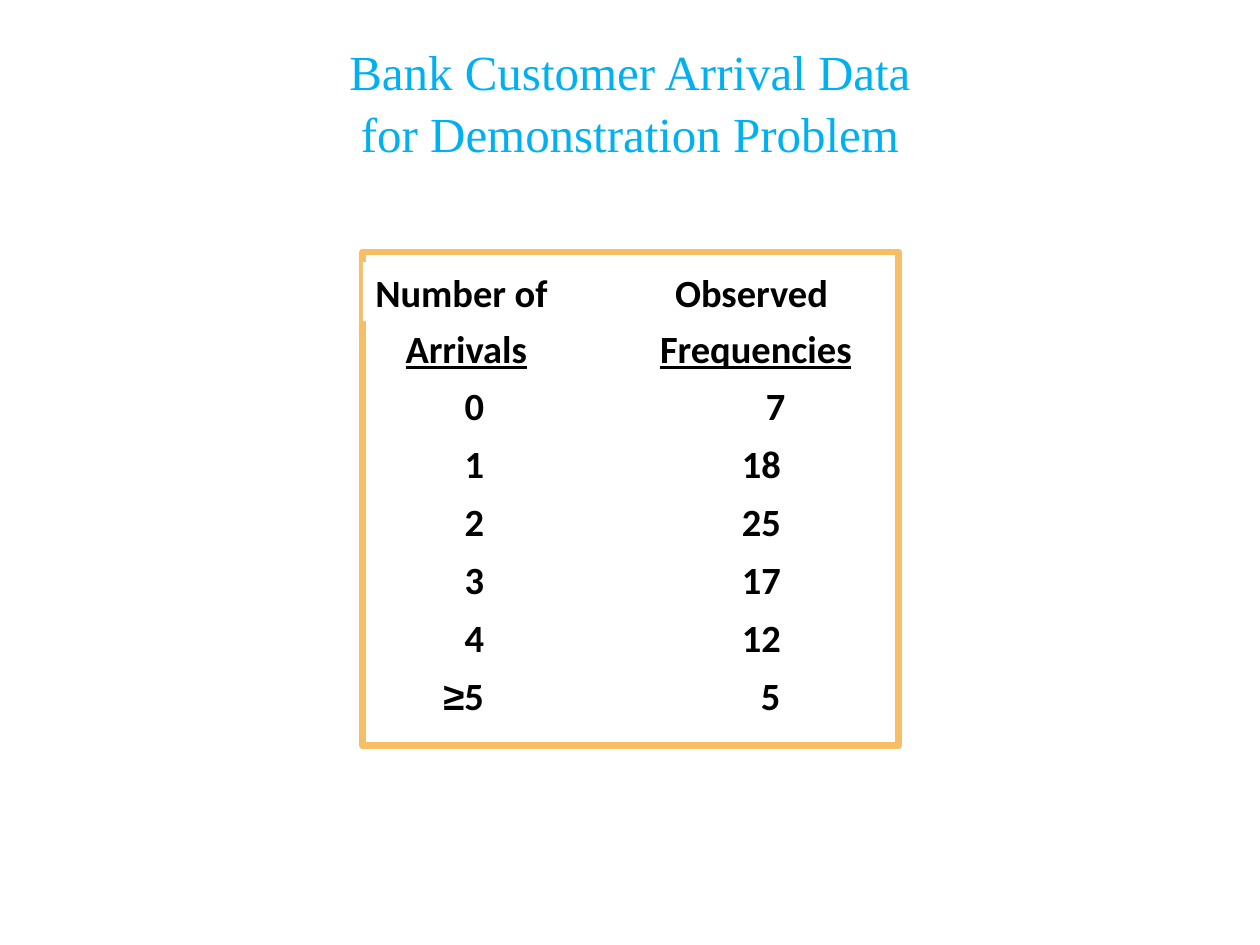
import pptx
import pptx.util
import pptx.dml.color
import pptx.enum.shapes
import pptx.enum.text

HUES = {"paper": "FFFFFF", "ink": "000000", "frame": "F6BF66", "title": "00B0F0"}
COLS, ROWS = 100, 75
ROW = 4.6
HIGH = 4.7


class Deck:
    def __init__(self):
        self.show = pptx.Presentation()
        self.show.slide_width = pptx.util.Inches(10)
        self.show.slide_height = pptx.util.Inches(7.5)
        self.slide = self.show.slides.add_slide(self.show.slide_layouts[6])
        self.panel = self.slide.shapes.add_group_shape().shapes

    def place(self, left, top, width, height):
        col = self.show.slide_width / COLS
        row = self.show.slide_height / ROWS
        return [round(n) for n in (left * col, top * row, width * col, height * row)]

    def hue(self, name):
        return pptx.dml.color.RGBColor.from_string(HUES[name])

    def font(self, font, face, size, hue, bold=False):
        font.name = face
        font.size = pptx.util.Pt(size)
        font.bold = bold
        font.color.rgb = self.hue(hue)

    def title(self, text, *area):
        frame = self.slide.shapes.add_textbox(*self.place(*area)).text_frame
        frame.word_wrap = True
        frame.vertical_anchor = pptx.enum.text.MSO_ANCHOR.MIDDLE
        para = frame.paragraphs[0]
        para.text = text
        para.alignment = pptx.enum.text.PP_ALIGN.CENTER
        para.line_spacing = 1.05
        self.font(para.font, "Times New Roman", 28, "title")

    def box(self, *area):
        shape = self.panel.add_shape(
            pptx.enum.shapes.MSO_SHAPE.RECTANGLE, *self.place(*area))
        shape.shadow.inherit = False
        shape.fill.solid()
        shape.fill.fore_color.rgb = self.hue("paper")
        shape.line.fill.background()
        return shape

    def border(self, *area):
        line = self.box(*area).line
        line.color.rgb = self.hue("frame")
        line.width = pptx.util.Pt(4)

    def label(self, text, left, top, width, under=False):
        frame = self.box(left, top, width, HIGH).text_frame
        frame.word_wrap = False
        frame.auto_size = pptx.enum.text.MSO_AUTO_SIZE.SHAPE_TO_FIT_TEXT
        para = frame.paragraphs[0]
        para.alignment = pptx.enum.text.PP_ALIGN.LEFT
        self.font(para.font, "Calibri", 22, "ink", True)
        para.font.underline = under
        for part in ("≥", text[1:]) if text.startswith("≥") else (text,):
            run = para.add_run()
            run.text = part
            if part == "≥":
                run.font.name = "Arial"


def main():
    deck = Deck()
    deck.border(28.8, 20, 42.5, 39.2)

    deck.label("Number of", 28.8, 20.8, 16.5)
    deck.label("Arrivals", 31.2, 25.3, 11.8, True)
    deck.label("Observed", 52.6, 20.8, 15)
    deck.label("Frequencies", 51.4, 25.3, 17.4, True)

    wide = {"≥5": 5.3, "7": 3.6, "5": 3.6}
    pairs = [("0", "7"), ("1", "18"), ("2", "25"),
             ("3", "17"), ("4", "12"), ("≥5", "5")]
    for i, (count, freq) in enumerate(pairs):
        top = 29.8 + i * ROW
        size = wide.get(count, 3.6)
        deck.label(count, 39.5 - size, top, size)
        size = wide.get(freq, 5.1)
        edge = 63.4 if i == 0 else 63
        deck.label(freq, edge - size, top, size)

    deck.title("Bank Customer Arrival Data\vfor Demonstration Problem",
               10.3, 2.5, 79.4, 10.9)
    deck.show.save("out.pptx")


if __name__ == "__main__":
    main()
